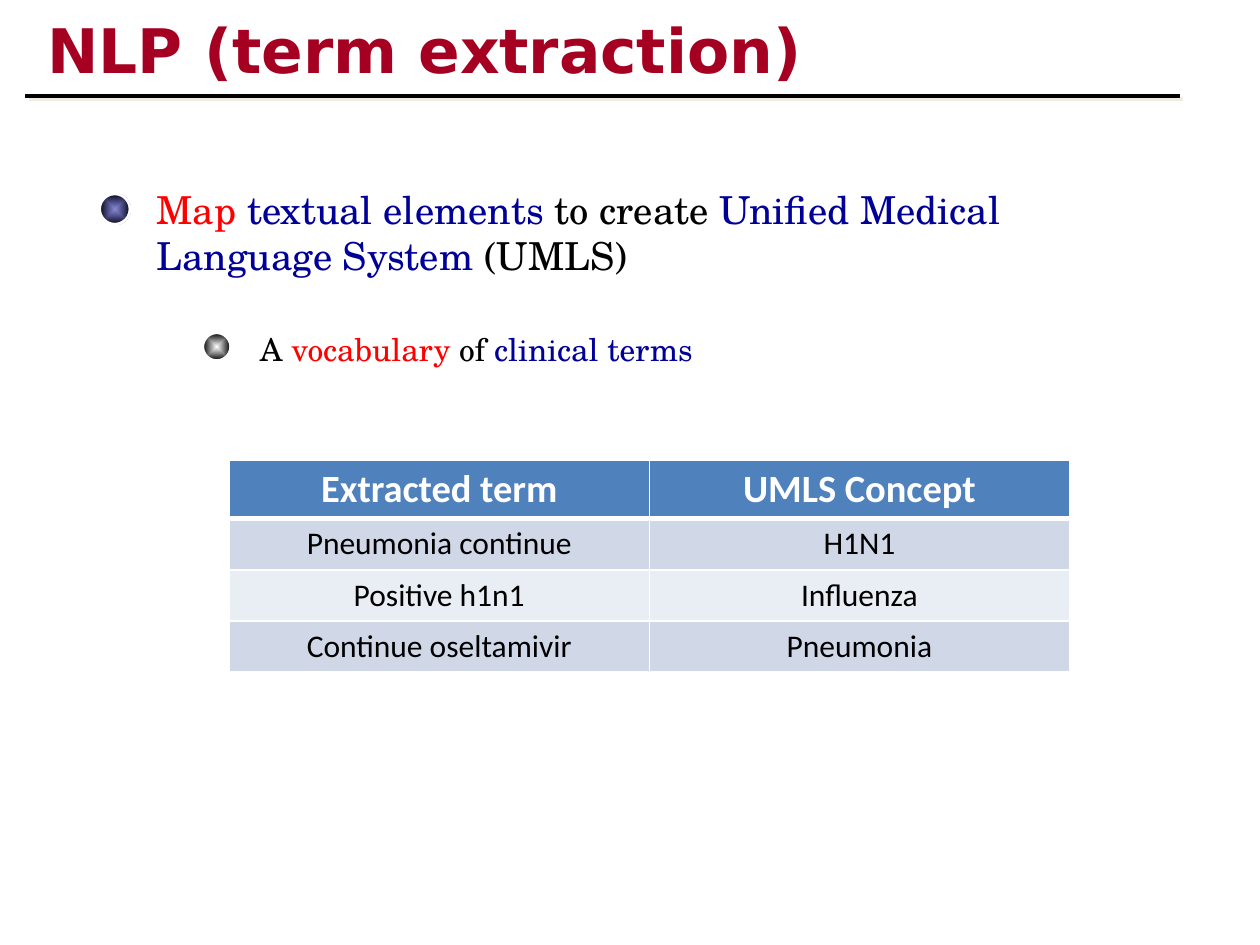
from pptx import Presentation
from pptx.dml.color import RGBColor
from pptx.enum.shapes import MSO_CONNECTOR, MSO_SHAPE
from pptx.enum.text import MSO_ANCHOR, MSO_AUTO_SIZE, PP_ALIGN
from pptx.oxml import parse_xml
from pptx.oxml.ns import nsdecls, qn
from pptx.util import Cm, Pt

BLACK = RGBColor(0x00, 0x00, 0x00)
WHITE = RGBColor(0xFF, 0xFF, 0xFF)
CRIMSON = RGBColor(0xA5, 0x00, 0x21)
RED = RGBColor(0xFF, 0x00, 0x00)
NAVY = RGBColor(0x00, 0x00, 0x99)
CREAM = RGBColor(0xEE, 0xEC, 0xE1)
HEADER_BLUE = RGBColor(0x4F, 0x81, 0xBD)
BANDS = (RGBColor(0xD0, 0xD8, 0xE8), RGBColor(0xE9, 0xED, 0xF4))

TITLE = {"name": "DejaVu Sans", "size": Pt(35.1), "bold": True}
POINT = {"name": "TeX Gyre Schola", "size": Pt(22)}
SUBPOINT = {"name": "TeX Gyre Schola", "size": Pt(18)}
HEAD_CELL = {"name": "Calibri", "size": Pt(22), "bold": True}
BODY_CELL = {"name": "Calibri", "size": Pt(18), "bold": False}

POINT_RUNS = [("Map ", RED), ("textual elements ", NAVY), ("to create ", BLACK),
              ("Unified Medical Language System", NAVY), (" (UMLS)", BLACK)]
SUBPOINT_RUNS = [("A ", BLACK), ("vocabulary", RED), (" of ", BLACK),
                 ("clinical terms", NAVY)]
TERMS = [("Extracted term", "UMLS Concept"), ("Pneumonia continue", "H1N1"),
         ("Positive h1n1", "Influenza"), ("Continue oseltamivir", "Pneumonia")]


def add_run(p, text, color, font):
    """Append a run with the given colour and font values."""
    r = p.add_run()
    r.text = text
    for name, value in font.items():
        setattr(r.font, name, value)
    r.font.color.rgb = color
    return r


def shadow_xml():
    """Return an effect list with a cream shadow to the lower right."""
    return parse_xml(
        f'<a:effectLst {nsdecls("a")}><a:outerShdw dist="{Pt(2.8)}" dir="2700000">'
        f'<a:srgbClr val="{CREAM}"/></a:outerShdw></a:effectLst>')


def add_title(s, left, top, width, height):
    """Place the shadowed title and the rule below it."""
    tf = s.shapes.add_textbox(left + Cm(0.2), top, width - Cm(1.87), height).text_frame
    tf.word_wrap = True
    tf.vertical_anchor = MSO_ANCHOR.MIDDLE
    r = add_run(tf.paragraphs[0], "NLP (term extraction)", CRIMSON, TITLE)
    r.font.fill._xPr.find(qn("a:solidFill")).addnext(shadow_xml())
    y = top + height + Cm(0.1)
    rule = s.shapes.add_connector(MSO_CONNECTOR.STRAIGHT, left, y, left + width, y)
    rule.line.color.rgb = BLACK
    rule.line.width = Pt(2.25)
    rule._element.spPr.append(shadow_xml())


def add_ball(shapes, left, top, size, center, alpha):
    """Place a round bullet shaded from its centre colour to black."""
    sp = shapes.add_shape(MSO_SHAPE.OVAL, left, top, size, size)
    sp.shadow.inherit = False
    sp.line.color.rgb = WHITE
    sp.line.width = Pt(1.5)
    sp.fill.gradient()
    spPr = sp._element.spPr
    spPr.replace(spPr.find(qn("a:gradFill")), parse_xml(
        f'<a:gradFill {nsdecls("a")} rotWithShape="1"><a:gsLst>'
        f'<a:gs pos="0"><a:srgbClr val="{center}"><a:alpha val="{alpha * 1000}"/></a:srgbClr></a:gs>'
        f'<a:gs pos="100000"><a:srgbClr val="{BLACK}"/></a:gs></a:gsLst>'
        '<a:path path="shape"><a:fillToRect l="50000" t="50000" r="50000" b="50000"/></a:path>'
        '</a:gradFill>'))


def add_point(s, left, top, width, height, runs, font, ball, indent):
    """Place a grouped bullet ball and its text inside the given box."""
    shapes = s.shapes.add_group_shape().shapes
    size, drop, center, alpha = ball
    add_ball(shapes, left, top + drop, size, center, alpha)
    tf = shapes.add_textbox(left + indent, top, width - indent, height).text_frame
    tf.word_wrap = True
    tf.auto_size = MSO_AUTO_SIZE.SHAPE_TO_FIT_TEXT
    tf.margin_left = left + Cm(0.9) + font["size"] - left - indent + Cm(0.25) - font["size"]
    for text, color in runs:
        add_run(tf.paragraphs[0], text, color, font)


def set_borders(cell, widths):
    """Draw white cell borders, widths in points by side."""
    tcPr = cell._tc.get_or_add_tcPr()
    for i, (side, width) in enumerate(widths.items()):
        tcPr.insert(i, parse_xml(
            f'<a:ln{side} {nsdecls("a")} w="{Pt(width)}"><a:solidFill>'
            f'<a:srgbClr val="{WHITE}"/></a:solidFill></a:ln{side}>'))


def add_terms(s, left, top, width, head_height, row_height):
    """Place the table of terms and concepts."""
    rows, cols = len(TERMS), len(TERMS[0])
    height = head_height + row_height * (rows - 1)
    table = s.shapes.add_table(rows, cols, left, top, width, height).table
    for i, values in enumerate(TERMS):
        head = i == 0
        table.rows[i].height = head_height if head else row_height
        for j, text in enumerate(values):
            cell = table.cell(i, j)
            cell.fill.solid()
            cell.fill.fore_color.rgb = HEADER_BLUE if head else BANDS[(i - 1) % 2]
            set_borders(cell, {"L": 1, "R": 1, "T": 3 if i == 1 else 1, "B": 3 if head else 1})
            p = cell.text_frame.paragraphs[0]
            p.alignment = PP_ALIGN.CENTER
            add_run(p, text, WHITE if head else BLACK, HEAD_CELL if head else BODY_CELL)


def main():
    """Build and save the slide."""
    prs = Presentation()
    prs.slide_width, prs.slide_height = Cm(25.4), Cm(19.05)
    s = prs.slides.add_slide(prs.slide_layouts[6])
    add_title(s, Cm(0.51), Cm(0.13), Cm(23.27), Cm(1.7))
    add_point(s, Cm(2.01), Cm(3.63), Cm(21.46), Cm(2.13), POINT_RUNS, POINT,
              (Cm(0.61), Cm(0.28), NAVY, 46), Cm(0.66))
    add_point(s, Cm(4.09), Cm(6.53), Cm(18.8), Cm(1.02), SUBPOINT_RUNS, SUBPOINT,
              (Cm(0.56), Cm(0.18), WHITE, 100), Cm(0.41))
    add_terms(s, Cm(4.62), Cm(9.27), Cm(16.94), Cm(1.17), Cm(1.03))
    prs.save("out.pptx")


if __name__ == "__main__":
    main()
